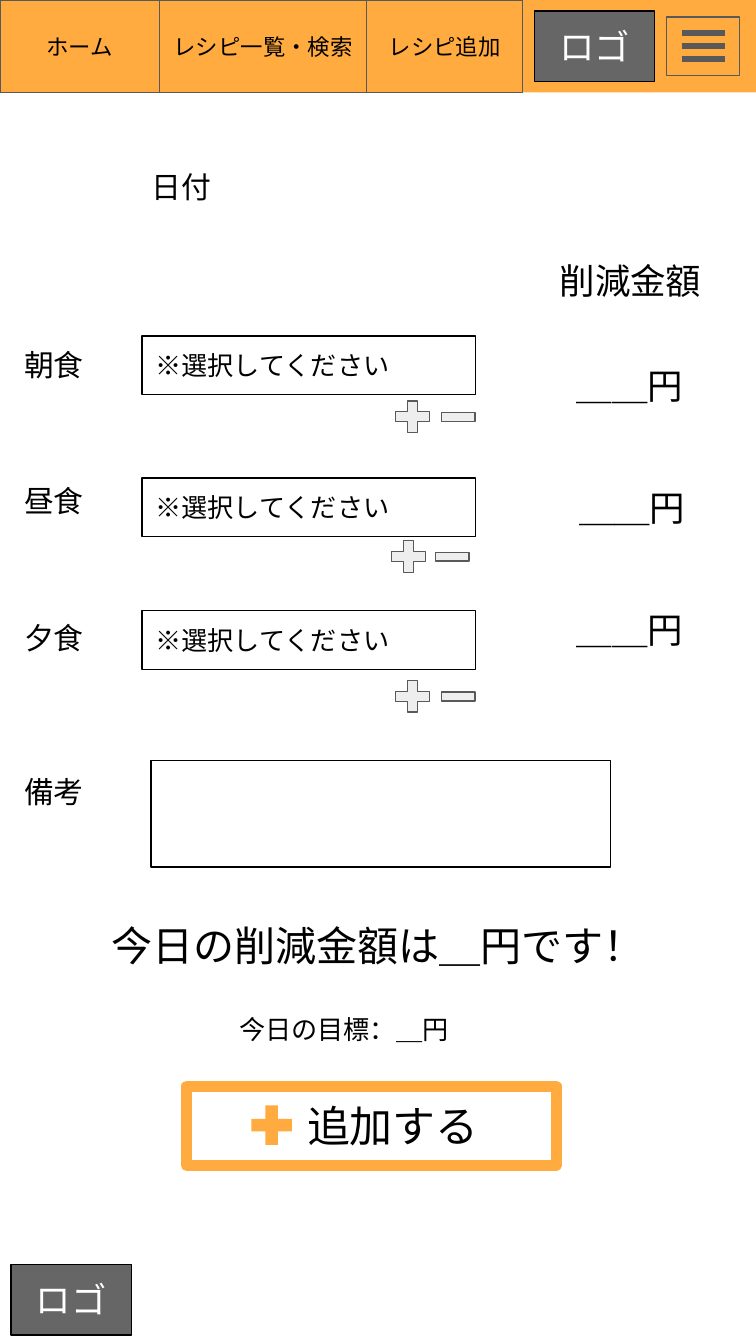
from lxml import etree
from pptx import Presentation
from pptx.dml.color import RGBColor
from pptx.enum.shapes import MSO_CONNECTOR, MSO_SHAPE as SHAPE
from pptx.enum.text import MSO_ANCHOR as ANCHOR, MSO_AUTO_SIZE as AUTO_SIZE, PP_ALIGN as ALIGN
from pptx.oxml.ns import qn
from pptx.util import Pt

ORANGE, GRAY, DARK, LIGHT = "FFAB40", "595959", "666666", "EEEEEE"
BLACK, WHITE = "000000", "FFFFFF"
INSET = 7.2


def color(value):
    """Turn a hex string into a colour."""
    return RGBColor.from_string(value)


def write(shape, text, size=12, font="Arial", ink=BLACK, align=ALIGN.LEFT,
          anchor=ANCHOR.TOP, grow=True, indent=0):
    """Put formatted text into a shape."""
    frame = shape.text_frame
    frame.word_wrap = True
    frame.auto_size = AUTO_SIZE.SHAPE_TO_FIT_TEXT if grow else AUTO_SIZE.NONE
    frame.vertical_anchor = anchor
    frame.margin_left = Pt(INSET + indent)
    frame.margin_right = frame.margin_top = frame.margin_bottom = Pt(INSET)
    paragraph = frame.paragraphs[0]
    paragraph.alignment = align
    run = paragraph.add_run()
    run.text = text
    run.font.size = Pt(size)
    run.font.name = font
    run.font.color.rgb = color(ink)


def add_shape(slide, box, kind=SHAPE.RECTANGLE, fill=None, line=None, weight=0.75):
    """Draw a preset shape without shadow."""
    shape = slide.shapes.add_shape(kind, *map(Pt, box))
    shape.shadow.inherit = False
    if fill:
        shape.fill.solid()
        shape.fill.fore_color.rgb = color(fill)
    else:
        shape.fill.background()
    if line:
        shape.line.color.rgb = color(line)
        shape.line.width = Pt(weight)
    else:
        shape.line.fill.background()
    if kind in (SHAPE.MATH_PLUS, SHAPE.MATH_MINUS):
        shape.adjustments[0] = 0.235
    return shape


def add_text(slide, box, text, **style):
    """Place a text box."""
    write(slide.shapes.add_textbox(*map(Pt, box)), text, **style)


def add_logo(slide, left, top):
    """Draw the logo placeholder."""
    shape = add_shape(slide, (left, top, 64.4, 37.6), fill=DARK, line=BLACK)
    write(shape, "ロゴ", size=19, font="Comic Neue", ink=WHITE, align=ALIGN.CENTER)


def add_menu_icon(slide, left, top):
    """Draw the framed three-bar menu icon."""
    add_shape(slide, (left, top, 38.9, 31.6), fill=ORANGE, line=GRAY)
    for index in range(3):
        y = top + 8.7 + 7 * index
        bar = slide.shapes.add_connector(
            MSO_CONNECTOR.STRAIGHT, Pt(left + 8), Pt(y), Pt(left + 31), Pt(y))
        bar.line.color.rgb = color(GRAY)
        bar.line.width = Pt(3)
        etree.SubElement(bar._element.spPr, qn("a:effectLst"))


def add_header(slide, left, top, width, height):
    """Draw the navigation bar."""
    add_shape(slide, (left, top, width, height), fill=ORANGE)
    x = left
    for text, tab_width in (("ホーム", 85.5), ("レシピ一覧・検索", 111), ("レシピ追加", 83.5)):
        tab = add_shape(slide, (x, top, tab_width, height), fill=ORANGE, line=GRAY)
        write(tab, text, align=ALIGN.CENTER, anchor=ANCHOR.MIDDLE, grow=False)
        x += tab_width
    add_logo(slide, left + 286.4, top + 6)
    add_menu_icon(slide, left + 357.2, top + 9)


def add_label(slide, left, top, text):
    """Place a form label."""
    add_text(slide, (left, top, 64, 33.8), text, size=16)


def add_meals(slide, left, top):
    """Draw the meal rows with selector, buttons and amount."""
    rows = (("朝食", 1.4, 0), ("昼食", 77.5, -2.2), ("夕食", 148.6, 0))
    for index, (meal, select_top, shift) in enumerate(rows):
        add_label(slide, left, top + 73 * index, meal)
        select = add_shape(slide, (left + 70.3, top + select_top, 178.6, 31.5), line=BLACK)
        write(select, "※選択してください", size=14)
        add_text(slide, (left + 290.8 - shift / 2, top + 9.4 + 65.2 * index, 90, 37.4),
                 "＿＿円", size=19, indent=5.3)
        buttons = top + 33.1 + 74.9 * index
        add_shape(slide, (left + 203 + shift, buttons, 24.5, 23),
                  SHAPE.MATH_PLUS, LIGHT, GRAY)
        add_shape(slide, (left + 227.4 + shift * 1.4, buttons + 1.5, 24.5, 20.2),
                  SHAPE.MATH_MINUS, LIGHT, GRAY)


def add_notes_field(slide, left, top):
    """Draw the remarks label and its empty field."""
    add_label(slide, left, top, "備考")
    add_shape(slide, (left + 75.2, top, 246, 56.9), line=BLACK)


def add_summary(slide, left, top):
    """Place the daily saving and goal."""
    add_text(slide, (left, top, 320, 41), "今日の削減金額は＿円です！", size=22)
    add_text(slide, (left + 68.2, top + 49.6, 167, 31.7), "今日の目標：＿円", size=14)


def add_submit_button(slide, left, top):
    """Draw the outlined add button with its plus sign."""
    button = add_shape(slide, (left, top, 198, 42.4), line=ORANGE, weight=6)
    write(button, "追加する", size=23, align=ALIGN.CENTER, indent=23)
    add_shape(slide, (left + 30.8, top + 6.4, 29.5, 28.8), SHAPE.MATH_PLUS, ORANGE)


def main():
    """Build the meal record screen."""
    presentation = Presentation()
    presentation.slide_width, presentation.slide_height = Pt(405), Pt(720)
    slide = presentation.slides.add_slide(presentation.slide_layouts[6])
    add_header(slide, 0, 0, 405, 49.6)
    add_label(slide, 74.2, 83, "日付")
    add_text(slide, (292.8, 131.8, 111, 37.4), "削減金額", size=19)
    add_meals(slide, 5.8, 178.6)
    add_notes_field(slide, 5.8, 407.5)
    add_summary(slide, 52.8, 486)
    add_submit_button(slide, 100, 582)
    add_logo(slide, 6, 677.6)
    presentation.save("out.pptx")


if __name__ == "__main__":
    main()
